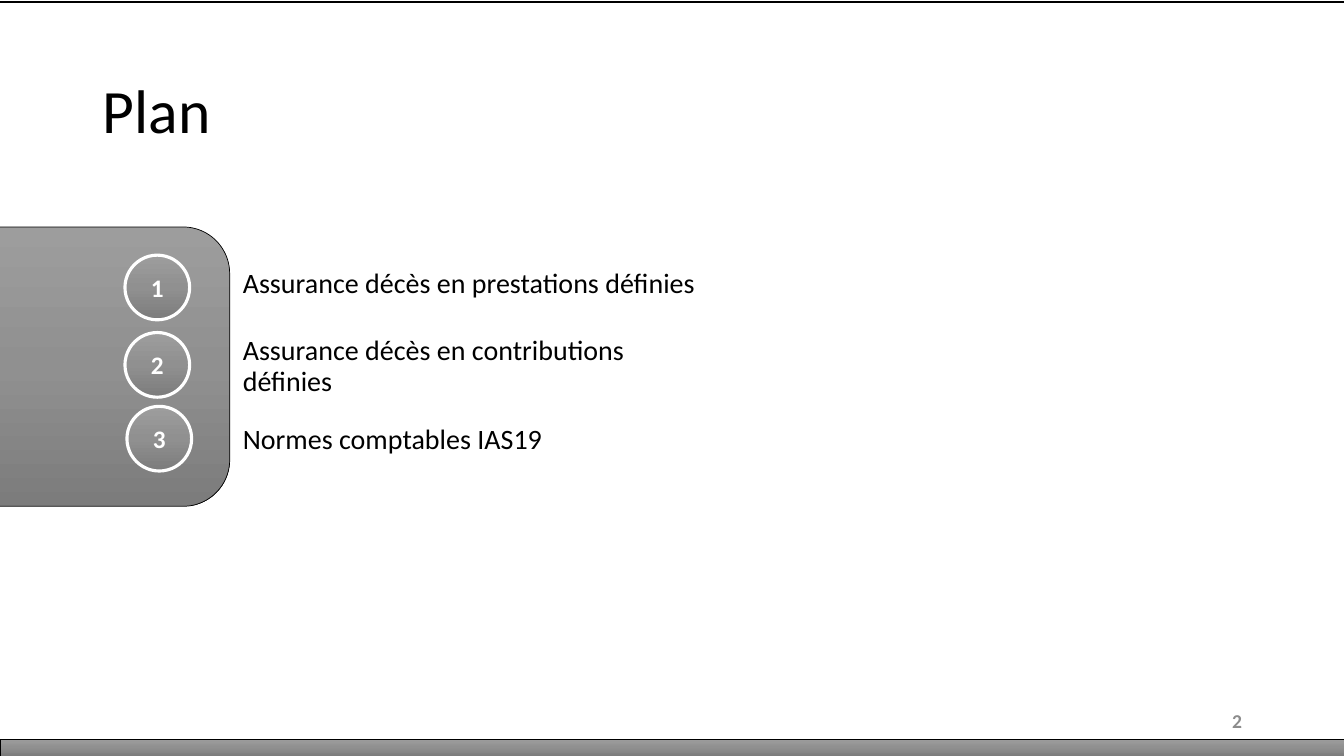
from copy import deepcopy
from dataclasses import dataclass

from lxml import etree
from pptx import Presentation
from pptx.dml.color import RGBColor
from pptx.enum.shapes import MSO_CONNECTOR, MSO_SHAPE
from pptx.enum.text import MSO_ANCHOR, PP_ALIGN
from pptx.oxml.ns import qn
from pptx.util import Cm, Pt

RECTANGLE = MSO_SHAPE.RECTANGLE
ROUNDED = MSO_SHAPE.ROUNDED_RECTANGLE
OVAL = MSO_SHAPE.OVAL
STRAIGHT = MSO_CONNECTOR.STRAIGHT
MIDDLE = MSO_ANCHOR.MIDDLE
LEFT, CENTER, RIGHT = PP_ALIGN.LEFT, PP_ALIGN.CENTER, PP_ALIGN.RIGHT


@dataclass(frozen=True)
class Theme:
    """Colours, font and type sizes of the slide."""

    font: str = "Calibri"
    black: str = "000000"
    white: str = "FFFFFF"
    muted: str = "8C8C8C"
    gradient: tuple = ("9D9D9D", "909090", "7C7C7C")
    title_size: int = 44
    label_size: int = 20
    number_size: int = 18
    page_size: int = 14


THEME = Theme()
SLIDE_WIDTH, SLIDE_HEIGHT = 33.87, 19.05
LABEL_LEFT = 5.97
ROW_HEIGHT = 1.63
AGENDA = (
    ("Assurance décès en prestations définies", 6.35, 11.75, 3.15, 6.43),
    ("Assurance décès en contributions définies", 8.43, 11.9, 3.15, 8.38),
    ("Normes comptables IAS19", 10.29, 10.39, 3.2, 10.24),
)


def fill_gradient(shape):
    """Fill a shape with the grey gradient running from top to bottom."""
    shape.fill.gradient()
    shape.fill.gradient_angle = 270
    stop_list = shape.element.spPr.find(qn("a:gradFill")).find(qn("a:gsLst"))
    stop_list.insert(1, deepcopy(stop_list[0]))
    for index, stop in enumerate(shape.fill.gradient_stops):
        stop.position = index / 2
        stop.color.rgb = RGBColor.from_string(THEME.gradient[index])


def add_gradient_shape(slide, kind, box, line_color, line_width):
    """Add an outlined shape with the grey gradient."""
    shape = slide.shapes.add_shape(kind, *map(Cm, box))
    shape.shadow.inherit = False
    fill_gradient(shape)
    shape.line.color.rgb = RGBColor.from_string(line_color)
    shape.line.width = Pt(line_width)
    return shape


def write_text(shape, text, size, color, align=LEFT, bold=False, spacing=1.0, insets=(0.25, 0.13)):
    """Write one vertically centred paragraph into a shape."""
    frame = shape.text_frame
    frame.word_wrap = True
    frame.vertical_anchor = MIDDLE
    frame.margin_left = frame.margin_right = Cm(insets[0])
    frame.margin_top = frame.margin_bottom = Cm(insets[1])
    paragraph = frame.paragraphs[0]
    paragraph.alignment = align
    paragraph.line_spacing = spacing
    run = paragraph.add_run()
    run.text = text
    run.font.name = THEME.font
    run.font.size = Pt(size)
    run.font.bold = bold
    run.font.color.rgb = RGBColor.from_string(color)


def add_text(slide, box, text, size, color, **style):
    """Add a text box holding one paragraph."""
    write_text(slide.shapes.add_textbox(*map(Cm, box)), text, size, color, **style)


def add_top_rule(slide):
    """Add the thin line along the top edge."""
    rule = slide.shapes.add_connector(STRAIGHT, 0, Cm(0.05), Cm(SLIDE_WIDTH), Cm(0.05))
    rule.line.color.rgb = RGBColor.from_string(THEME.black)
    rule.line.width = Pt(1.5)
    etree.SubElement(rule.element.spPr, qn("a:effectLst"))


def add_agenda_item(slide, number, text, label_top, label_width, circle_left, circle_top):
    """Add a numbered circle and the label next to it."""
    add_text(slide, (LABEL_LEFT, label_top, label_width, ROW_HEIGHT), text,
             THEME.label_size, THEME.black, spacing=0.9, insets=(0.15, 0.08))
    circle_box = (circle_left, circle_top, ROW_HEIGHT, ROW_HEIGHT)
    circle = add_gradient_shape(slide, OVAL, circle_box, THEME.white, 2.25)
    write_text(circle, str(number), THEME.number_size, THEME.white,
               align=CENTER, bold=True, insets=(0, 0))


def main():
    """Build the agenda slide and save it."""
    presentation = Presentation()
    presentation.slide_width = Cm(SLIDE_WIDTH)
    presentation.slide_height = Cm(SLIDE_HEIGHT)
    slide = presentation.slides.add_slide(presentation.slide_layouts[6])

    add_gradient_shape(slide, ROUNDED, (-2.34, 5.72, 8.13, 7.04), THEME.black, 0.5)
    add_text(slide, (2.34, 1.02, 29.21, 3.68), "Plan",
             THEME.title_size, THEME.black, spacing=0.9)
    for number, item in enumerate(AGENDA, start=1):
        add_agenda_item(slide, number, *item)
    add_top_rule(slide)
    add_gradient_shape(slide, RECTANGLE, (0, 18.62, SLIDE_WIDTH, 0.43), THEME.black, 0.5)
    add_text(slide, (23.93, 17.65, 7.62, 1.02), "2",
             THEME.page_size, THEME.muted, align=RIGHT, bold=True)

    presentation.save("out.pptx")


if __name__ == "__main__":
    main()
